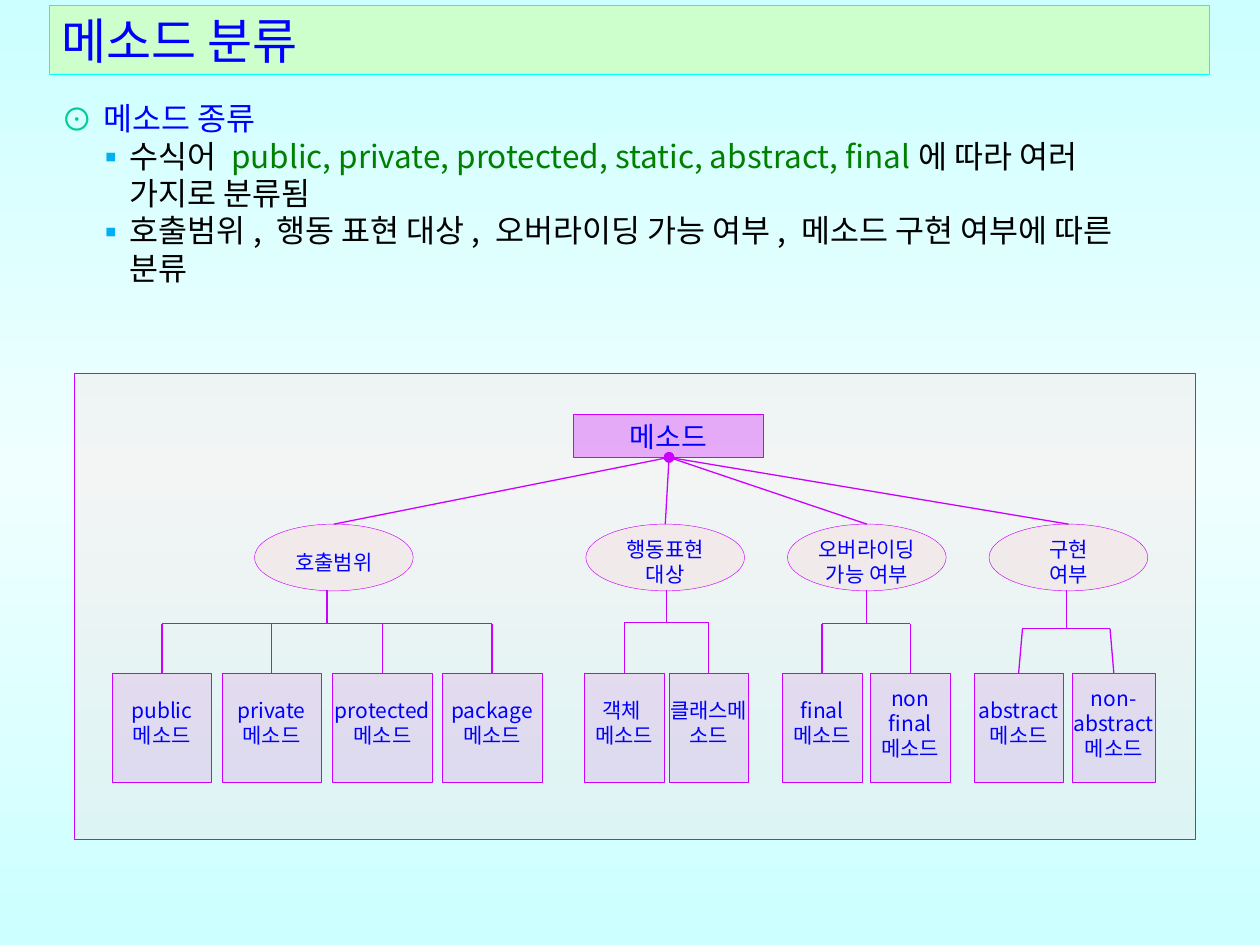
from pptx import Presentation
from pptx.dml.color import RGBColor
from pptx.enum.shapes import MSO_CONNECTOR, MSO_SHAPE
from pptx.enum.text import MSO_ANCHOR, PP_ALIGN
from pptx.oxml import parse_xml
from pptx.oxml.ns import nsdecls, qn
from pptx.util import Inches, Pt
from lxml.etree import SubElement as Sub

FONT = "Noto Sans CJK KR"
COLORS = {
    "sky": "CCFFFF", "pale": "F0FFFF", "mint": "CCFFCC", "cyan": "00FFFF",
    "blue": "0000FF", "teal": "00CC99", "azure": "00B0F0", "green": "008000",
    "black": "000000", "rose": "FFCCCC", "violet": "CC00FF", "plum": "CC00CC",
}
LINE_PITCH = 1.19
BRANCHES = [
    (["호출범위"], 14.3, 0.1, 19.9, 0, [
        (["public", "메소드"], 3, 7.9), (["private", "메소드"], 11.7, 7.9),
        (["protected", "메소드"], 20.5, 7.9), (["package", "메소드"], 29.2, 7.9)]),
    (["행동표현", "대상"], 40.6, 0.1, 19.8, 0, [
        (["객체 ", "메소드"], 40.5, 6.3), (["클래스메소드"], 47.2, 6.3)]),
    (["오버라이딩 가능 여부"], 56.6, 0, 19.9, 0, [
        (["final", "메소드"], 56.2, 6.3), (["non", "final", "메소드"], 63.2, 6.3)]),
    (["구현", "여부"], 72.6, 0.1, 20.3, 0.3, [
        (["abstract", "메소드"], 71.4, 7.1), (["non-", "abstract", "메소드"], 79.2, 6.6)]),
]


def grid(cells):
    """Turn grid cells, 100 columns by 75 rows, into a slide length."""
    return Inches(cells / 10)


def rgb(name):
    """Look up a named colour."""
    return RGBColor.from_string(COLORS[name])


def set_background(slide):
    """Fill the slide with a vertical three-stop gradient."""
    stops = "".join(
        f'<a:gs pos="{pos}"><a:srgbClr val="{COLORS[name]}"/></a:gs>'
        for pos, name in ((0, "sky"), (50000, "pale"), (100000, "sky")))
    slide.element.cSld.insert(0, parse_xml(
        f'<p:bg {nsdecls("p", "a")}><p:bgPr><a:gradFill><a:gsLst>{stops}</a:gsLst>'
        '<a:lin ang="5400000" scaled="0"/></a:gradFill><a:effectLst/></p:bgPr></p:bg>'))


def add_run(paragraph, text, size, color):
    """Append one run of text in the slide font."""
    run = paragraph.add_run()
    run.text = text
    run.font.size = Pt(size)
    run.font.name = FONT
    run.font.color.rgb = rgb(color)
    Sub(run.font._element, qn("a:ea")).set("typeface", FONT)


def next_paragraph(frame, index, size):
    """Return the paragraph at an index with the shared line pitch."""
    paragraph = frame.add_paragraph() if index else frame.paragraphs[0]
    paragraph.line_spacing = Pt(round(size * LINE_PITCH, 1))
    return paragraph


def set_insets(frame, left, top, right, bottom):
    """Set the text margins in inches and wrap the text."""
    frame.word_wrap = True
    frame.margin_left, frame.margin_top = Inches(left), Inches(top)
    frame.margin_right, frame.margin_bottom = Inches(right), Inches(bottom)


def add_block(slide, kind, box, fill, line, opacity=100, lines=(), size=12,
              insets=(0, 0, 0, 0), anchor=MSO_ANCHOR.TOP, align=PP_ALIGN.CENTER):
    """Add a filled outline shape with lines of blue text."""
    block = slide.shapes.add_shape(kind, *map(grid, box))
    block.shadow.inherit = False
    block.fill.solid()
    block.fill.fore_color.rgb = rgb(fill)
    if opacity < 100:
        tint = block.fill._xPr.find(qn("a:solidFill"))[0]
        Sub(tint, qn("a:alpha")).set("val", str(opacity * 1000))
    block.line.color.rgb = rgb(line)
    block.line.width = Pt(0.25)
    if kind == MSO_SHAPE.ROUNDED_RECTANGLE:
        block.adjustments[0] = 0
    frame = block.text_frame
    set_insets(frame, *insets)
    frame.vertical_anchor = anchor
    for index, text in enumerate(lines):
        paragraph = next_paragraph(frame, index, size)
        paragraph.alignment = align
        add_run(paragraph, text, size, "blue")


def add_branch_line(slide, start, end, dotted=False):
    """Draw a violet line, with a round head at its start if dotted."""
    link = slide.shapes.add_connector(MSO_CONNECTOR.STRAIGHT, *map(grid, start + end))
    link.line.color.rgb = rgb("violet")
    link.line.width = Pt(0.75)
    if dotted:
        Sub(link.line._get_or_add_ln(), qn("a:headEnd")).set("type", "oval")
    Sub(link._element.spPr, qn("a:effectLst"))


def add_title(slide, box):
    """Place the title band."""
    add_block(slide, MSO_SHAPE.RECTANGLE, box, "mint", "cyan", lines=["메소드 분류"], size=28,
              insets=(0.1, 0.05, 0.1, 0.05), anchor=MSO_ANCHOR.MIDDLE, align=PP_ALIGN.LEFT)


def set_bullet(paragraph, mark, color, left, hang):
    """Give a paragraph a coloured bullet and a hanging indent."""
    props = paragraph._p.get_or_add_pPr()
    props.set("marL", str(Inches(left)))
    props.set("indent", str(-Inches(hang)))
    Sub(Sub(props, qn("a:buClr")), qn("a:srgbClr")).set("val", COLORS[color])
    Sub(props, qn("a:buFont")).set("typeface", FONT)
    Sub(props, qn("a:buChar")).set("char", mark)


def add_summary(slide, box):
    """Place the bulleted explanation."""
    heading, point = ("⊙", "teal", 0.33, 0.33), ("▪", "azure", 0.54, 0.27)
    rows = [
        (heading, [("메소드 종류", "blue")]),
        (point, [("수식어 ", "black"),
                 ("public, private, protected, static, abstract, final", "green"),
                 ("에 따라 여러", "black"), None, ("가지로 분류됨", "black")]),
        (point, [("호출범위, 행동 표현 대상, 오버라이딩 가능 여부, 메소드 구현 여부에 따른", "black"),
                 None, ("분류", "black")]),
    ]
    frame = slide.shapes.add_textbox(*map(grid, box)).text_frame
    set_insets(frame, 0.1, 0.05, 0.1, 0.05)
    for index, (bullet, pieces) in enumerate(rows):
        paragraph = next_paragraph(frame, index, 18)
        set_bullet(paragraph, *bullet)
        for piece in pieces:
            if piece:
                add_run(paragraph, piece[0], 18, piece[1])
            else:
                paragraph.add_line_break()


def add_branch(slide, left, top, hub, branch):
    """Place one criterion with its spoke, bracket and leaf boxes."""
    label, offset, side, bar, slant, leaves = branch
    oval_left, oval_top = left + offset, top + 12
    bar_y, leaf_top = top + bar, top + 23.8
    add_block(slide, MSO_SHAPE.OVAL, (oval_left, oval_top, 12.6, 5.3), "rose", "violet", 23,
              label, insets=(side, 0.12, side, 0.05), anchor=MSO_ANCHOR.MIDDLE)
    add_branch_line(slide, hub, (oval_left + 6.3, oval_top), dotted=True)
    centers = [left + x + width / 2 for x, width in [leaf[1:] for leaf in leaves]]
    first, last = centers[0] + slant, centers[-1] - slant
    middle = (first + last) / 2
    add_branch_line(slide, (middle, oval_top + 5.2), (middle, bar_y))
    add_branch_line(slide, (first, bar_y), (last, bar_y))
    for (text, x, width), center in zip(leaves, centers):
        inset = 0.1 if len(text) > 2 else 0.2
        add_block(slide, MSO_SHAPE.ROUNDED_RECTANGLE, (left + x, leaf_top, width, 8.7),
                  "plum", "violet", 10, text, insets=(0, inset, 0, 0.05))
        add_branch_line(slide, (min(max(center, first), last), bar_y), (center, leaf_top))


def add_tree(slide, box):
    """Place the panel with the method classification tree."""
    left, top = box[:2]
    add_block(slide, MSO_SHAPE.RECTANGLE, box, "rose", "violet", 20)
    add_block(slide, MSO_SHAPE.ROUNDED_RECTANGLE, (left + 39.6, top + 3.3, 15.1, 3.4),
              "violet", "violet", 30, ["메소드"], 16, (0, 0.04, 0, 0))
    hub = (left + 47.2, top + 6.7)
    for branch in BRANCHES:
        add_branch(slide, left, top, hub, branch)


def main():
    """Build and save the slide."""
    deck = Presentation()
    deck.slide_width, deck.slide_height = grid(100), grid(75)
    slide = deck.slides.add_slide(deck.slide_layouts[6])
    set_background(slide)
    add_title(slide, (3.9, 0.4, 92.1, 5.5))
    add_summary(slide, (3.9, 7.4, 92, 16.2))
    add_tree(slide, (5.9, 29.6, 89, 37))
    deck.save("out.pptx")


main()
